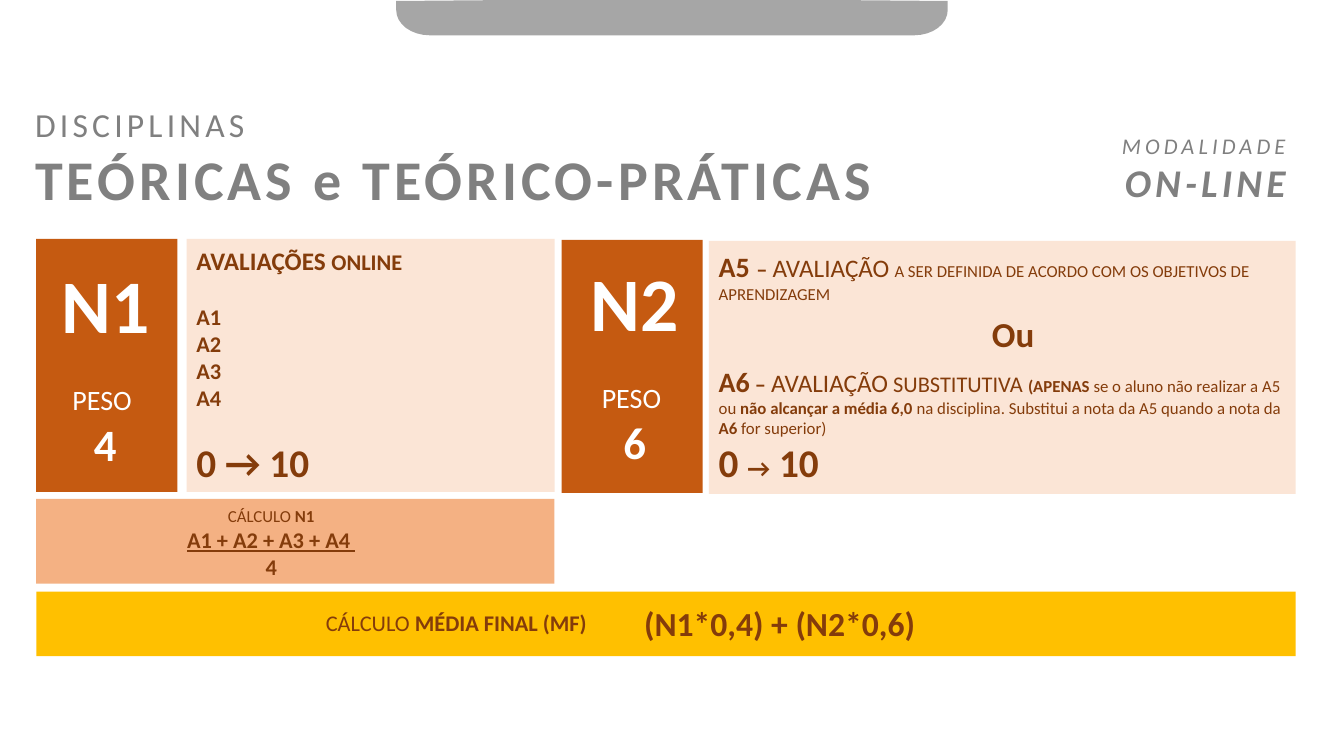
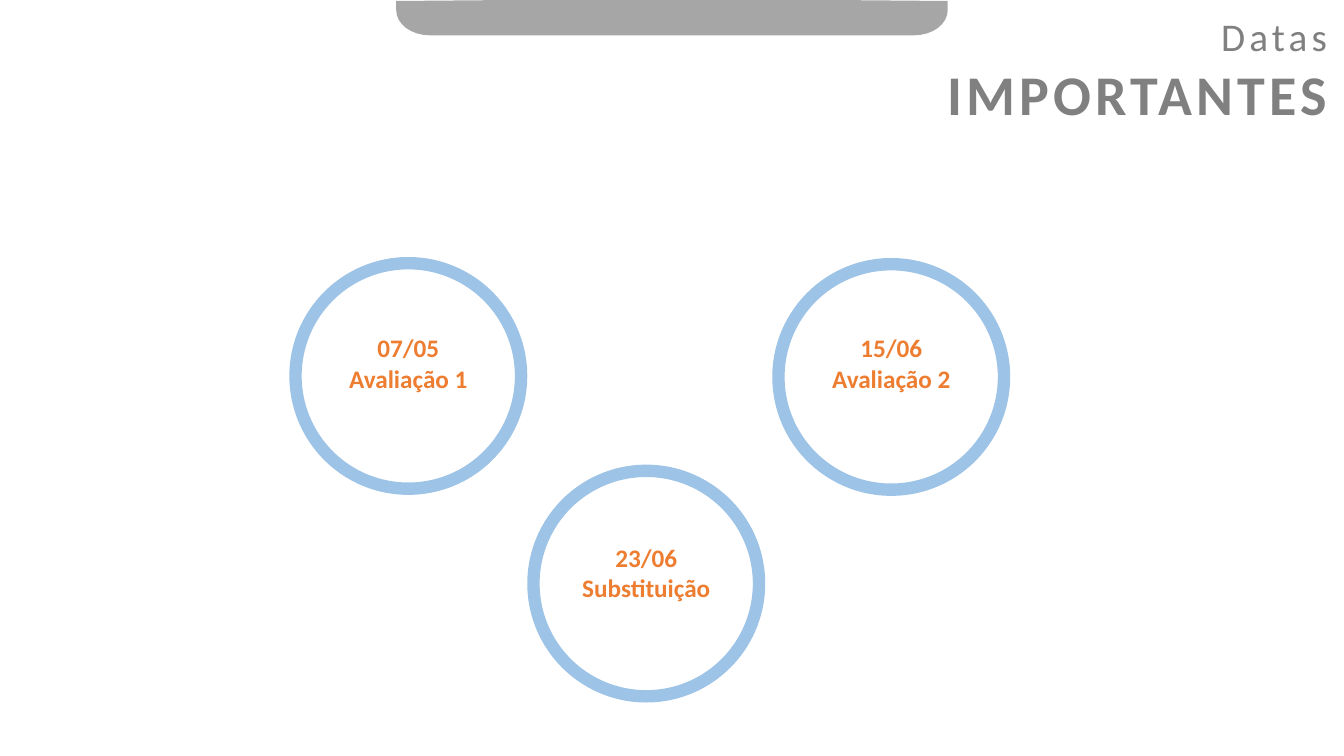
from dataclasses import dataclass
from math import cos, pi, sin

from pptx import Presentation
from pptx.dml.color import RGBColor
from pptx.enum.shapes import MSO_SHAPE
from pptx.enum.text import MSO_ANCHOR, PP_ALIGN
from pptx.util import Emu, Pt

RECT, DONUT = MSO_SHAPE.RECTANGLE, MSO_SHAPE.DONUT
TOP, MIDDLE = MSO_ANCHOR.TOP, MSO_ANCHOR.MIDDLE
LEFT, CENTER, RIGHT = PP_ALIGN.LEFT, PP_ALIGN.CENTER, PP_ALIGN.RIGHT


@dataclass(frozen=True)
class Theme:
    font: str = "Calibri"
    grey: str = "808080"
    silver: str = "A6A6A6"
    rust: str = "C55A11"
    brown: str = "843C0B"
    peach: str = "FBE5D6"
    tan: str = "F4B183"
    gold: str = "FFC000"
    sky: str = "9DC3E6"
    orange: str = "ED7D31"
    white: str = "FFFFFF"
    note: int = 12
    body: int = 16
    lead: int = 18
    label: int = 20
    head: int = 24
    choice: int = 25
    range: int = 28
    weight: int = 32
    title: int = 40
    grade: int = 54
    track: int = 300


@dataclass
class Para:
    runs: list
    align: int = LEFT
    before: float = 0
    left: int = 0


def px(value):
    return Emu(round(value * 9144))


class Deck:
    def __init__(self, theme):
        self.theme = theme
        self.file = Presentation()
        self.file.slide_width, self.file.slide_height = px(1333), px(750)
        self.slide = None

    def page(self):
        self.slide = self.file.slides.add_slide(self.file.slide_layouts[6])
        self.tab()

    def paint(self, shape, fill):
        shape.shadow.inherit = False
        shape.fill.solid()
        shape.fill.fore_color.rgb = RGBColor.from_string(fill)
        shape.line.fill.background()

    def tab(self):
        arc = [i * pi / 16 for i in range(9)]
        right = [(907 + 33 * cos(a), 10 + 25 * sin(a)) for a in arc]
        left = [(1333 - x, y) for x, y in reversed(right)]
        points = [(508, 0), (825, 0), (940, 1), *right, *left]
        outline = self.slide.shapes.build_freeform(px(393), px(1), 1.0)
        outline.add_line_segments([(px(x), px(y)) for x, y in points])
        self.paint(outline.convert_to_shape(), self.theme.silver)

    def shape(self, kind, box, fill):
        shape = self.slide.shapes.add_shape(kind, *map(px, box))
        self.paint(shape, fill)
        return shape

    def panel(self, box, fill, paras=()):
        shape = self.shape(RECT, box, fill)
        if paras:
            self.typeset(shape.text_frame, paras, self.theme.brown, MIDDLE)

    def ring(self, x, y):
        self.shape(DONUT, (x, y, 236, 236), self.theme.sky).adjustments[0] = 0.052

    def text(self, box, paras, color, track=0):
        frame = self.slide.shapes.add_textbox(*map(px, box)).text_frame
        self.typeset(frame, paras, color, TOP, track)

    def typeset(self, frame, paras, color, anchor, track=0):
        frame.word_wrap = True
        frame.vertical_anchor = anchor
        for i, para in enumerate(paras):
            line = frame.add_paragraph() if i else frame.paragraphs[0]
            line.alignment = para.align
            if para.before:
                line.space_before = Pt(para.before)
            if para.left:
                line._p.get_or_add_pPr().set("marL", str(px(para.left)))
            for words, size, style in para.runs:
                run = line.add_run()
                run.text = words
                font = run.font
                font.name, font.size = self.theme.font, Pt(size)
                font.color.rgb = RGBColor.from_string(color)
                font.bold, font.italic = "b" in style, "i" in style
                font.underline = "u" in style
                if track:
                    run._r.get_or_add_rPr().set("spc", str(track))

    def title(self, box, top, main, align, style=""):
        paras = [Para([(*top, style)], align), Para([(*main, style + "b")], align)]
        self.text(box, paras, self.theme.grey, self.theme.track)

    def grade(self, block, words, name, weight):
        t = self.theme
        self.panel((*block, 140, 251), t.rust)
        self.text((*words, 137, 222), [
            Para([(name, t.grade, "b")], CENTER),
            Para([("PESO ", t.label, "")], CENTER, 24.4),
            Para([(weight, t.weight, "b")], CENTER),
        ], t.white)

    def date(self, ring, words, day, event):
        self.ring(*ring)
        paras = [Para([(part, self.theme.lead, "b")], CENTER) for part in (day, event)]
        self.text((*words, 152, 71), paras, self.theme.orange)


def grades(deck):
    t = deck.theme
    deck.page()
    deck.title((25, 98, 927, 118), ("DISCIPLINAS", t.head),
               ("TEÓRICAS e TEÓRICO-PRÁTICAS", t.title), LEFT)
    deck.title((913, 126, 372, 84), ("MODALIDADE", t.body),
               ("ON-LINE", t.range), RIGHT, "i")
    deck.grade((36, 237), (36, 251), "N1", "4")
    deck.grade((557, 238), (561, 249), "N2", "6")
    tests = [Para([(name, t.body, "b")], before=0 if i else 19.5)
             for i, name in enumerate(("A1", "A2", "A3", "A4"))]
    deck.panel((185, 237, 365, 251), t.peach, [
        Para([("AVALIAÇÕES ", t.lead, "b"), ("ONLINE", t.body, "b")]),
        *tests,
        Para([("0 → 10", t.range, "b")], before=19.5),
    ])
    deck.panel((703, 239, 582, 251), t.peach, [
        Para([("A5 ", t.label, "b"), ("– ", t.body, "b"),
              ("AVALIAÇÃO", t.lead, ""), (" ", t.body, "b"),
              ("A SER DEFINIDA DE ACORDO COM OS OBJETIVOS DE APRENDIZAGEM", t.note, "")]),
        Para([("Ou", t.choice, "b")], before=6.7, left=271),
        Para([("A6", t.label, "b"), (" – ", t.body, "b"),
              ("AVALIAÇÃO", t.lead, ""), (" SUBSTITUTIVA ", t.body, ""),
              ("(APENAS ", t.note, "b"),
              ("se o aluno não realizar a A5 ou ", t.note, ""),
              ("não alcançar a média 6,0 ", t.note, "b"),
              ("na disciplina. Substitui a nota da A5 quando a nota da ", t.note, ""),
              ("A6", t.note, "b"), (" for superior)", t.note, "")], before=6.8),
        Para([("0 ", t.range, "b"), ("→", t.lead, "b"), (" 10", t.range, "b")]),
    ])
    deck.panel((36, 495, 514, 84), t.tan)
    deck.text((165, 497, 208, 84), [
        Para([("CÁLCULO ", t.note, ""), ("N1", t.note, "b")], CENTER),
        Para([("A1 + A2 + A3 + A4 ", t.body, "bu")], CENTER),
        Para([("4", t.body, "b")], CENTER),
    ], t.brown)
    deck.panel((36, 587, 1249, 64), t.gold)
    deck.text((238, 599, 429, 37), [
        Para([("CÁLCULO ", t.body, ""), ("MÉDIA FINAL (MF)", t.body, "b")], CENTER),
    ], t.brown)
    deck.text((629, 593, 299, 51), [
        Para([("(N1*0,4) + (N2*0,6)", t.head, "b")]),
    ], t.brown)


def dates(deck):
    t = deck.theme
    deck.page()
    deck.title((802, 7, 524, 125), ("Datas", t.range),
               ("IMPORTANTES", t.title), RIGHT)
    deck.date((287, 255), (329, 325), "07/05", "Avaliação 1")
    deck.date((766, 256), (808, 325), "15/06", "Avaliação 2")
    deck.date((523, 461), (565, 533), "23/06", "Substituição")


def main():
    deck = Deck(Theme())
    grades(deck)
    dates(deck)
    deck.file.save("out.pptx")


if __name__ == "__main__":
    main()
